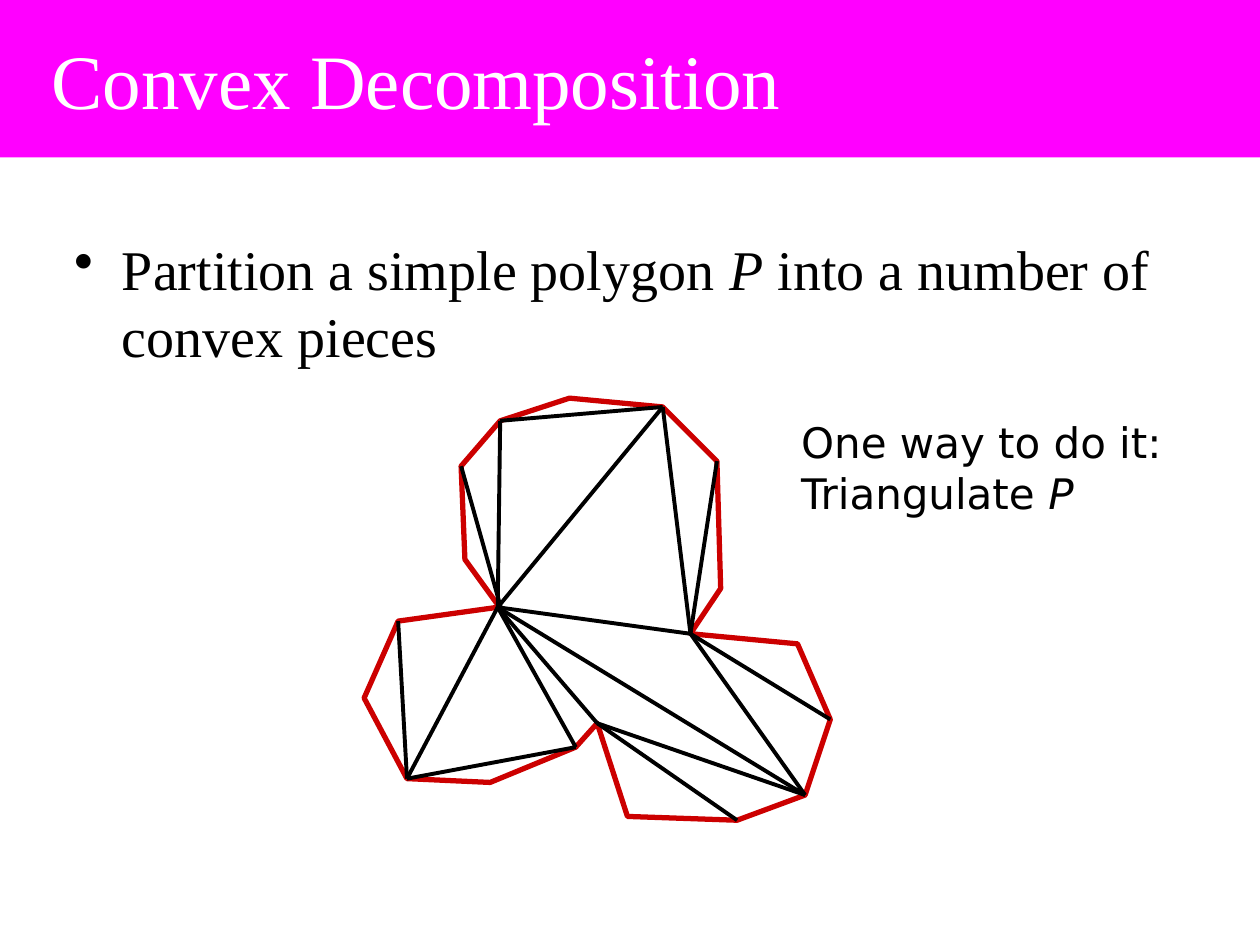
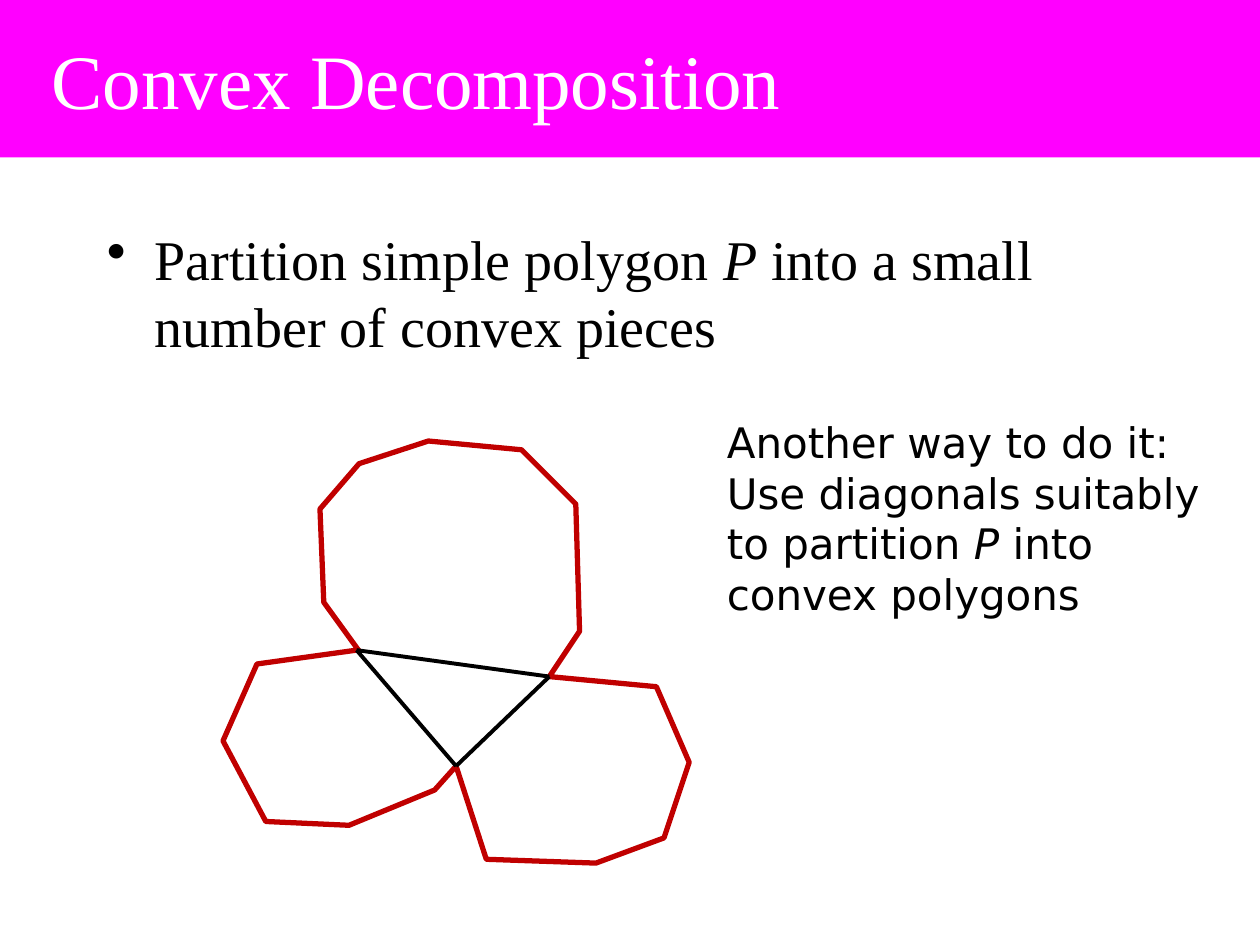
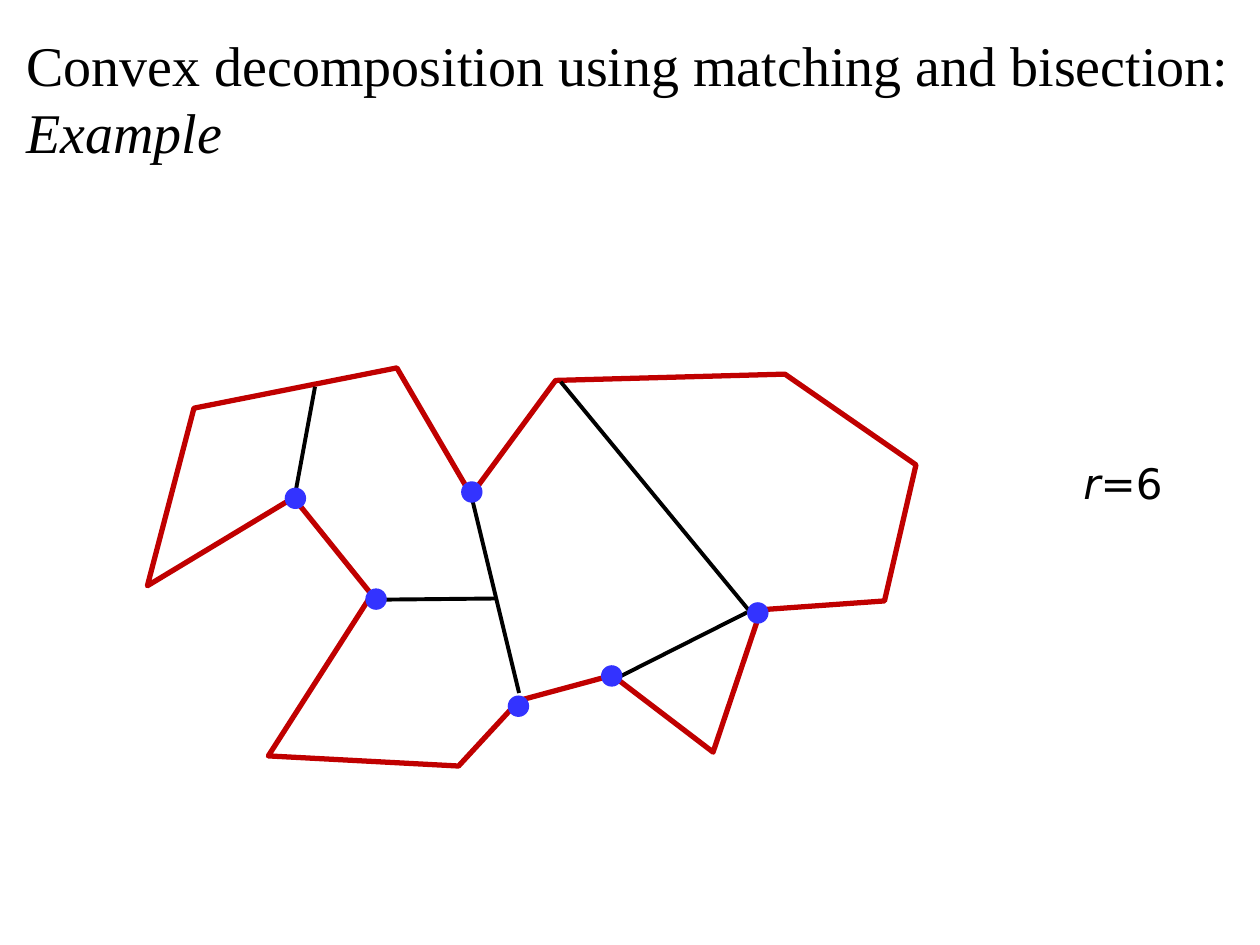
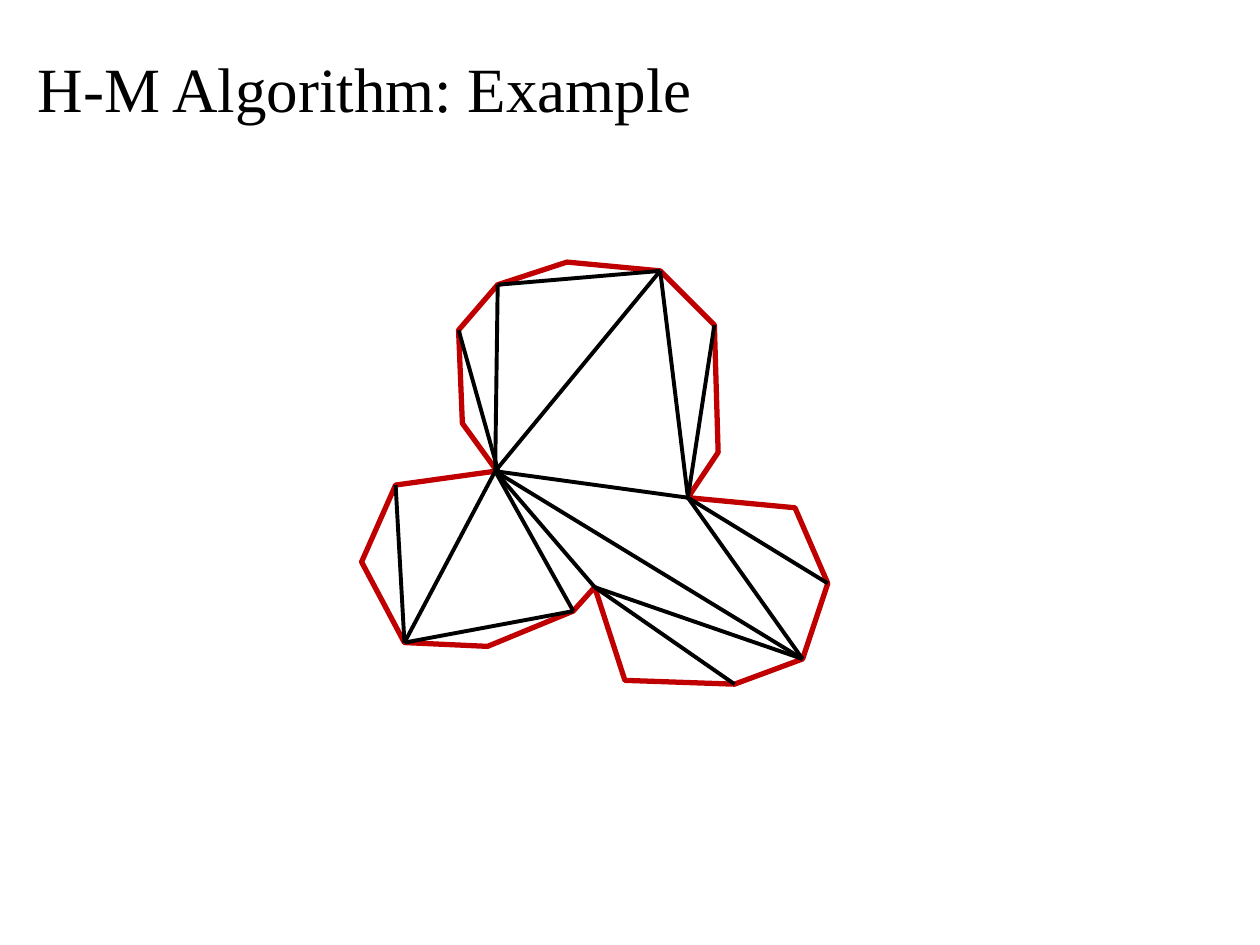
from pptx import Presentation
from pptx.dml.color import RGBColor
from pptx.enum.shapes import MSO_CONNECTOR as Connector, MSO_SHAPE as Shape
from pptx.enum.text import MSO_ANCHOR as Anchor, MSO_AUTO_SIZE as AutoSize, PP_ALIGN as Align
from pptx.oxml.ns import qn
from pptx.util import Pt
from lxml.etree import SubElement

SCALE = 9144
COLORS = {
    "band": "FF00FF",
    "white": "FFFFFF",
    "black": "000000",
    "bright_red": "CC0000",
    "red": "C00000",
    "dot": "3333FF",
}
SERIF, SANS = "Times New Roman", "DejaVu Sans"
HANGING = 38

OUTLINE = [
    (109, 168), (80, 128), (77, 54), (108, 18), (163, 0), (237, 7), (280, 50),
    (283, 151), (259, 187), (344, 195), (370, 255), (350, 315), (296, 335),
    (209, 332), (185, 258), (168, 277), (100, 305), (34, 302), (0, 238),
    (27, 177), (106, 166),
]
TRIANGULATION = [
    (5, 20), (3, 20), (3, 5), (2, 0), (20, 11), (8, 11), (5, 8), (20, 8), (6, 8),
    (8, 10), (20, 14), (14, 11), (14, 12), (20, 17), (19, 17), (20, 15), (17, 15),
]
CONVEX_CUTS = [(8, 14), (20, 8), (20, 14)]

MATCHING_OUTLINE = [
    (117, 465), (154, 324), (315, 292), (374, 393), (441, 302), (623, 297),
    (727, 369), (702, 477), (604, 484), (566, 597), (486, 536), (412, 556),
    (364, 608), (213, 600), (295, 472), (233, 395),
]
BISECTIONS = [
    ((599, 490), (445, 303)),
    ((593, 486), (492, 537)),
    ((412, 550), (374, 393)),
    ((295, 476), (393, 475)),
    ((233, 399), (250, 307)),
]
REFLEX_DOTS = [(290, 467), (366, 382), (477, 528), (593, 478), (403, 552), (226, 387)]
DOT_SIZE = 17


def px(value):
    return int(value * SCALE)


def color(name):
    return RGBColor.from_string(COLORS[name])


class Deck:
    def __init__(self):
        self.presentation = Presentation()
        self.presentation.slide_width = px(1000)
        self.presentation.slide_height = px(750)
        self.slide = None

    def new_slide(self):
        self.slide = self.presentation.slides.add_slide(self.presentation.slide_layouts[6])

    def fill_text(self, shape, text, size=32, font=SERIF, fill="black", anchor=Anchor.TOP,
                  bullet=False, left=10, top=5):
        """Text between asterisks is set in italics."""
        frame = shape.text_frame
        frame.word_wrap = True
        frame.vertical_anchor = anchor
        frame.margin_left, frame.margin_top = px(left), px(top)
        frame.margin_right, frame.margin_bottom = px(10), px(5)
        paragraph = frame.paragraphs[0]
        paragraph.alignment = Align.LEFT
        if bullet:
            properties = paragraph._p.get_or_add_pPr()
            properties.set("marL", str(px(HANGING)))
            properties.set("indent", str(-px(HANGING)))
            SubElement(properties, qn("a:buChar")).set("char", "•")
        for index, piece in enumerate(text.split("*")):
            if piece:
                run = paragraph.add_run()
                run.text = piece
                run.font.size = Pt(size)
                run.font.name = font
                run.font.italic = index % 2 == 1
                run.font.color.rgb = color(fill)

    def text(self, box, text, **style):
        shape = self.slide.shapes.add_textbox(*map(px, box))
        self.fill_text(shape, text, **style)
        return shape

    def title(self, box, text, size):
        self.text(box, text, size=size, anchor=Anchor.MIDDLE)

    def bullet(self, box, text):
        self.text(box, text, bullet=True, top=11)

    def note(self, box, text):
        shape = self.text(box, text, size=24, font=SANS)
        shape.text_frame.auto_size = AutoSize.SHAPE_TO_FIT_TEXT

    def solid(self, kind, box, fill):
        shape = self.slide.shapes.add_shape(kind, *map(px, box))
        shape.shadow.inherit = False
        shape.fill.solid()
        shape.fill.fore_color.rgb = color(fill)
        shape.line.fill.background()
        return shape

    def band(self, text):
        shape = self.solid(Shape.RECTANGLE, (0, 0, 1000, 125), "band")
        self.fill_text(shape, text, size=44, fill="white", anchor=Anchor.MIDDLE, left=41)

    def outline(self, points, fill="red", close=False):
        builder = self.slide.shapes.build_freeform(*points[0], scale=float(SCALE))
        builder.add_line_segments(points[1:], close=close)
        shape = builder.convert_to_shape()
        shape.shadow.inherit = False
        shape.fill.background()
        shape.line.color.rgb = color(fill)
        shape.line.width = Pt(3)

    def diagonal(self, start, end):
        connector = self.slide.shapes.add_connector(
            Connector.STRAIGHT, *map(px, (*start, *end)))
        connector.line.color.rgb = color("black")
        connector.line.width = Pt(2.25)
        SubElement(connector._element.spPr, qn("a:effectLst"))

    def polygon(self, left, top, diagonals, fill="red"):
        points = [(left + x, top + y) for x, y in OUTLINE]
        self.outline(points, fill)
        for start, end in diagonals:
            self.diagonal(points[start], points[end])


def main():
    deck = Deck()

    deck.new_slide()
    deck.band("Convex Decomposition")
    deck.bullet((49, 175, 900, 495),
                "Partition a simple polygon *P* into a number of convex pieces")
    deck.polygon(289, 316, TRIANGULATION, "bright_red")
    deck.note((626, 326, 349, 91), "One way to do it: Triangulate *P*")

    deck.new_slide()
    deck.bullet((75, 167, 850, 125),
                "Partition simple polygon *P* into a small number of convex pieces")
    deck.polygon(177, 350, CONVEX_CUTS)
    deck.note((567, 326, 409, 172),
              "Another way to do it: Use diagonals suitably to partition "
              "*P *into convex polygons")
    deck.band("Convex Decomposition")

    deck.new_slide()
    deck.title((11, 15, 989, 125),
               "Convex decomposition using matching and bisection: *Example*", 32)
    deck.outline(MATCHING_OUTLINE, close=True)
    for start, end in BISECTIONS:
        deck.diagonal(start, end)
    deck.note((850, 358, 108, 50), "*r*=6")
    for left, top in REFLEX_DOTS:
        deck.solid(Shape.OVAL, (left, top, DOT_SIZE, DOT_SIZE), "dot")

    deck.new_slide()
    deck.title((20, 24, 825, 91), "H-M Algorithm: Example", 36)
    deck.polygon(287, 208, TRIANGULATION)

    deck.presentation.save("out.pptx")


if __name__ == "__main__":
    main()
